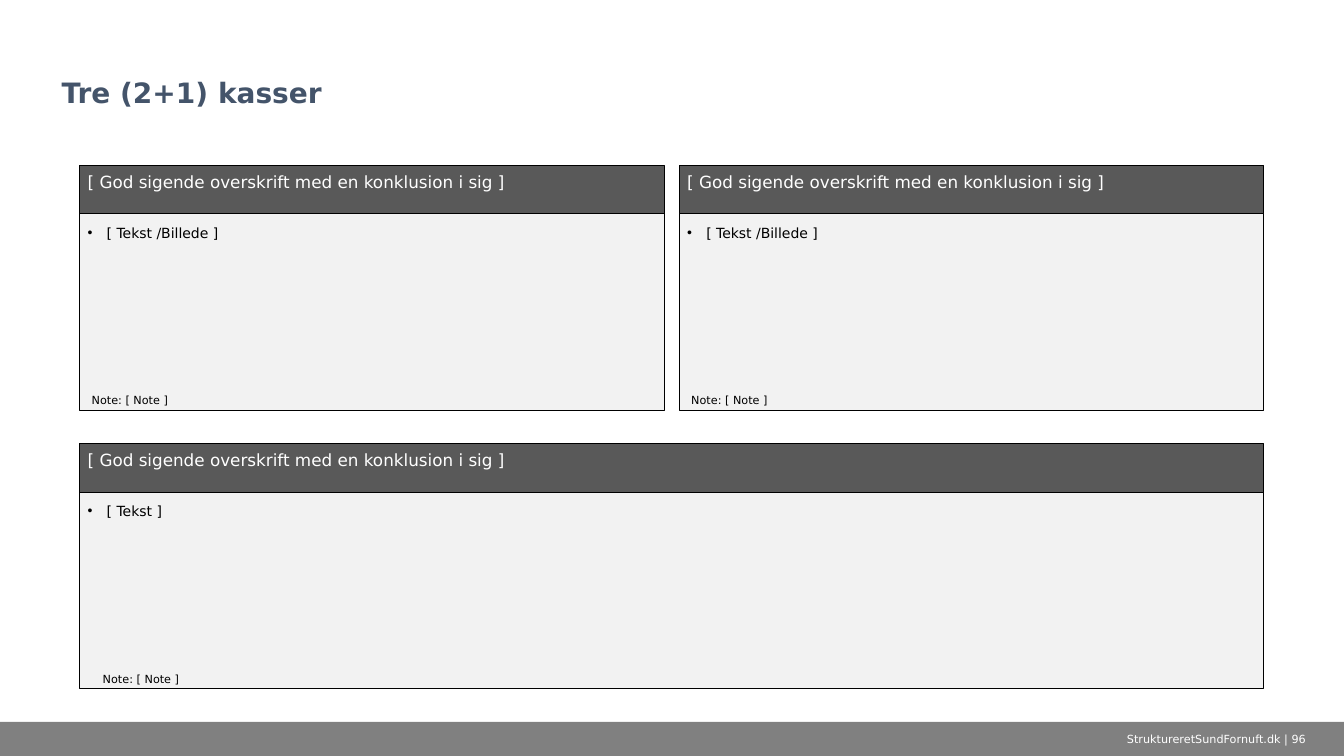
"""Build a slide with two text boxes above one wide text box."""
from dataclasses import dataclass

from lxml.etree import SubElement
from pptx import Presentation
from pptx.dml.color import RGBColor
from pptx.enum.shapes import MSO_SHAPE as Preset
from pptx.enum.text import MSO_ANCHOR as Anchor, MSO_AUTO_SIZE as AutoSize, PP_ALIGN as Align
from pptx.oxml.ns import qn
from pptx.shapes.autoshape import Shape
from pptx.slide import Slide
from pptx.util import Cm, Pt

FONT = "DejaVu Sans"
HEADING = "[ God sigende overskrift med en konklusion i sig ]"
NOTE = "Note: [ Note ]"
LEFT, GAP, HALF = 2.01, 0.38, 14.73
WIDE = 2 * HALF + GAP
HEADER_HEIGHT, BODY_OFFSET, BODY_HEIGHT = 1.22, 0.51, 5.66
NOTE_OFFSET, NOTE_HEIGHT = 5.75, 0.33


@dataclass(frozen=True)
class Area:
    left: float
    top: float
    width: float
    height: float

    def lengths(self) -> tuple[Cm, Cm, Cm, Cm]:
        return Cm(self.left), Cm(self.top), Cm(self.width), Cm(self.height)


@dataclass(frozen=True)
class Insets:
    side: float
    top: float
    bottom: float


@dataclass(frozen=True)
class Panel:
    left: float
    top: float
    width: float
    text: str
    note_indent: float
    note_width: float


PANELS = (
    Panel(LEFT, 4.17, HALF, "[ Tekst /Billede ]", 0.3, 11.3),
    Panel(LEFT + HALF + GAP, 4.17, HALF, "[ Tekst /Billede ]", 0.3, 11.3),
    Panel(LEFT, 11.18, WIDE, "[ Tekst ]", 0.58, 22.89),
)


def colour(value: str) -> RGBColor:
    return RGBColor.from_string(value)


def write(shape: Shape, text: str, size: float, shade: str, insets: Insets,
          anchor: Anchor = Anchor.TOP, align: Align = Align.LEFT,
          bold: bool = False, bullet: bool = False) -> None:
    frame = shape.text_frame
    frame.text = text
    frame.word_wrap = True
    frame.vertical_anchor = anchor
    frame.margin_left = frame.margin_right = Cm(insets.side)
    frame.margin_top, frame.margin_bottom = Cm(insets.top), Cm(insets.bottom)
    para = frame.paragraphs[0]
    para.alignment = align
    if bullet:
        properties = para._p.get_or_add_pPr()
        properties.set("marL", str(Cm(0.48)))
        properties.set("indent", str(-Cm(0.48)))
        SubElement(properties, qn("a:buFont"), typeface="Arial")
        SubElement(properties, qn("a:buChar"), char="•")
    font = para.runs[0].font
    font.name, font.size, font.bold = FONT, Pt(size), bold
    font.color.rgb = colour(shade)


def add_box(page: Slide, area: Area, fill: str, outlined: bool = True) -> Shape:
    box = page.shapes.add_shape(Preset.RECTANGLE, *area.lengths())
    box.shadow.inherit = False
    box.fill.solid()
    box.fill.fore_color.rgb = colour(fill)
    if outlined:
        box.line.color.rgb = colour("000000")
        box.line.width = Pt(0.5)
    else:
        box.line.fill.background()
    return box


def add_title(page: Slide) -> None:
    title = page.shapes.title
    title.left, title.top, title.width, title.height = Area(1.3, 0.43, 31.27, 2.46).lengths()
    write(title, "Tre (2+1) kasser", 20, "44546A", Insets(0.25, 0.13, 0.13),
          anchor=Anchor.BOTTOM, bold=True)
    title.text_frame.auto_size = AutoSize.NONE
    title.text_frame.paragraphs[0].line_spacing = 0.9


def add_footer(page: Slide) -> None:
    add_box(page, Area(0, 18.19, 33.87, 0.86), "808080", outlined=False)
    label = page.shapes.add_textbox(*Area(27.46, 18.19, 6.4, 0.86).lengths())
    write(label, "StruktureretSundFornuft.dk | 96", 8, "FFFFFF", Insets(0.25, 0.13, 0.13),
          anchor=Anchor.MIDDLE, align=Align.CENTER)


def add_panel(page: Slide, panel: Panel) -> None:
    body = add_box(page, Area(panel.left, panel.top + BODY_OFFSET, panel.width, BODY_HEIGHT),
                   "F2F2F2")
    write(body, panel.text, 10, "000000", Insets(0.2, 0.97, 0.15), bullet=True)
    header = add_box(page, Area(panel.left, panel.top, panel.width, HEADER_HEIGHT), "595959")
    write(header, HEADING, 12, "FFFFFF", Insets(0.2, 0.15, 0.15))
    note_area = Area(panel.left + panel.note_indent, panel.top + NOTE_OFFSET,
                     panel.note_width, NOTE_HEIGHT)
    note = page.shapes.add_textbox(*note_area.lengths())
    write(note, NOTE, 8, "000000", Insets(0, 0, 0))
    note.text_frame.auto_size = AutoSize.SHAPE_TO_FIT_TEXT


def main() -> None:
    deck = Presentation()
    deck.slide_width, deck.slide_height = Cm(33.87), Cm(19.05)
    page = deck.slides.add_slide(deck.slide_layouts.get_by_name("Title Only"))
    add_title(page)
    add_footer(page)
    for panel in PANELS:
        add_panel(page, panel)
    deck.save("out.pptx")


if __name__ == "__main__":
    main()
